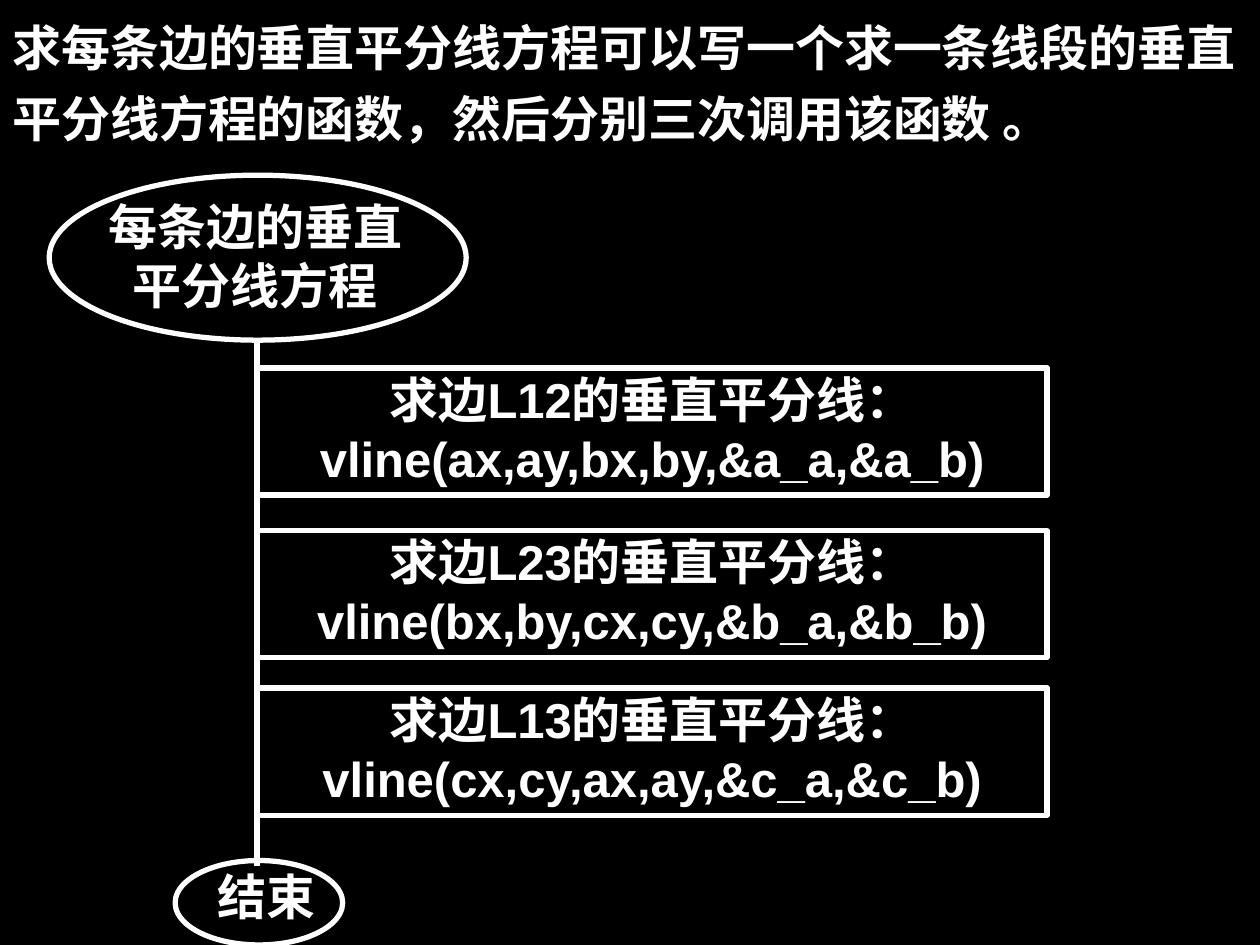
import pptx
import pptx.util
import pptx.dml.color
import pptx.enum.shapes
import pptx.enum.text
import pptx.oxml

COLORS = {"background": "000000", "foreground": "FFFFFF"}
WIDTH, HEIGHT = 10, 7.5
TEXT_SIZE, LINE_WIDTH = 28, 3
AXIS = 2.04

INTRO = "求每条边的垂直平分线方程可以写一个求一条线段的垂直平分线方程的函数，然后分别三次调用该函数 。"
START = "每条边的垂直\n平分线方程"
END = "结束"
STEPS = [
    (2.92, "L12", "vline(ax,ay,bx,by,&a_a,&a_b)"),
    (4.21, "L23", "vline(bx,by,cx,cy,&b_a,&b_b)"),
    (5.46, "L13", "vline(cx,cy,ax,ay,&c_a,&c_b)"),
]
STEP_WIDTH, STEP_HEIGHT = 6.27, 1.01

Inches = pptx.util.Inches
Pt = pptx.util.Pt
ShapeType = pptx.enum.shapes.MSO_SHAPE
Align = pptx.enum.text.PP_ALIGN


def color(name):
    return pptx.dml.color.RGBColor.from_string(COLORS[name])


def style_line(shape):
    shape.line.color.rgb = color("foreground")
    shape.line.width = Pt(LINE_WIDTH)


def write(shape, text, font="Arial", align=Align.CENTER, margins=(0.01, 0.01)):
    frame = shape.text_frame
    frame.word_wrap = True
    frame.vertical_anchor = pptx.enum.text.MSO_ANCHOR.TOP
    frame.margin_left = frame.margin_right = Inches(margins[0])
    frame.margin_top = frame.margin_bottom = Inches(margins[1])
    frame.text = text
    for paragraph in frame.paragraphs:
        paragraph.alignment = align
        for run in paragraph.runs:
            run.font.name = font
            run.font.size = Pt(TEXT_SIZE)
            run.font.bold = True
            run.font.color.rgb = color("foreground")
    return frame


def add_text(slide, box, text, **options):
    textbox = slide.shapes.add_textbox(*map(Inches, box))
    return write(textbox, text, **options)


def add_outline(slide, kind, box):
    shape = slide.shapes.add_shape(kind, *map(Inches, box))
    shape.shadow.inherit = False
    shape.fill.background()
    style_line(shape)
    return shape


def add_axis(slide, top, bottom):
    connector = slide.shapes.add_connector(
        pptx.enum.shapes.MSO_CONNECTOR.STRAIGHT,
        Inches(AXIS), Inches(top), Inches(AXIS), Inches(bottom))
    style_line(connector)
    connector._element.spPr.append(pptx.oxml.parse_xml(
        '<a:effectLst xmlns:a="http://schemas.openxmlformats.org/drawingml/2006/main"/>'))


def main():
    presentation = pptx.Presentation()
    presentation.slide_width = Inches(WIDTH)
    presentation.slide_height = Inches(HEIGHT)
    slide = presentation.slides.add_slide(presentation.slide_layouts[6])
    slide.background.fill.solid()
    slide.background.fill.fore_color.rgb = color("background")

    intro = add_text(slide, (0, 0, WIDTH, 1.22), INTRO, font="Roboto",
                     align=Align.LEFT, margins=(0.1, 0.05))
    intro.paragraphs[0].line_spacing = 1.2

    add_text(slide, (0.55, 1.55, 2.95, 1.03), START)
    add_outline(slide, ShapeType.OVAL, (0.39, 1.39, 3.31, 1.31))
    add_axis(slide, 2.69, 6.87)
    add_text(slide, (1.39, 6.87, 1.45, 0.63), END)
    add_outline(slide, ShapeType.OVAL, (1.39, 6.83, 1.33, 0.67))

    for top, edge, call in STEPS:
        step = add_outline(slide, ShapeType.RECTANGLE, (AXIS, top, STEP_WIDTH, STEP_HEIGHT))
        write(step, f"求边{edge}的垂直平分线：\n{call}")

    presentation.save("out.pptx")


if __name__ == "__main__":
    main()
